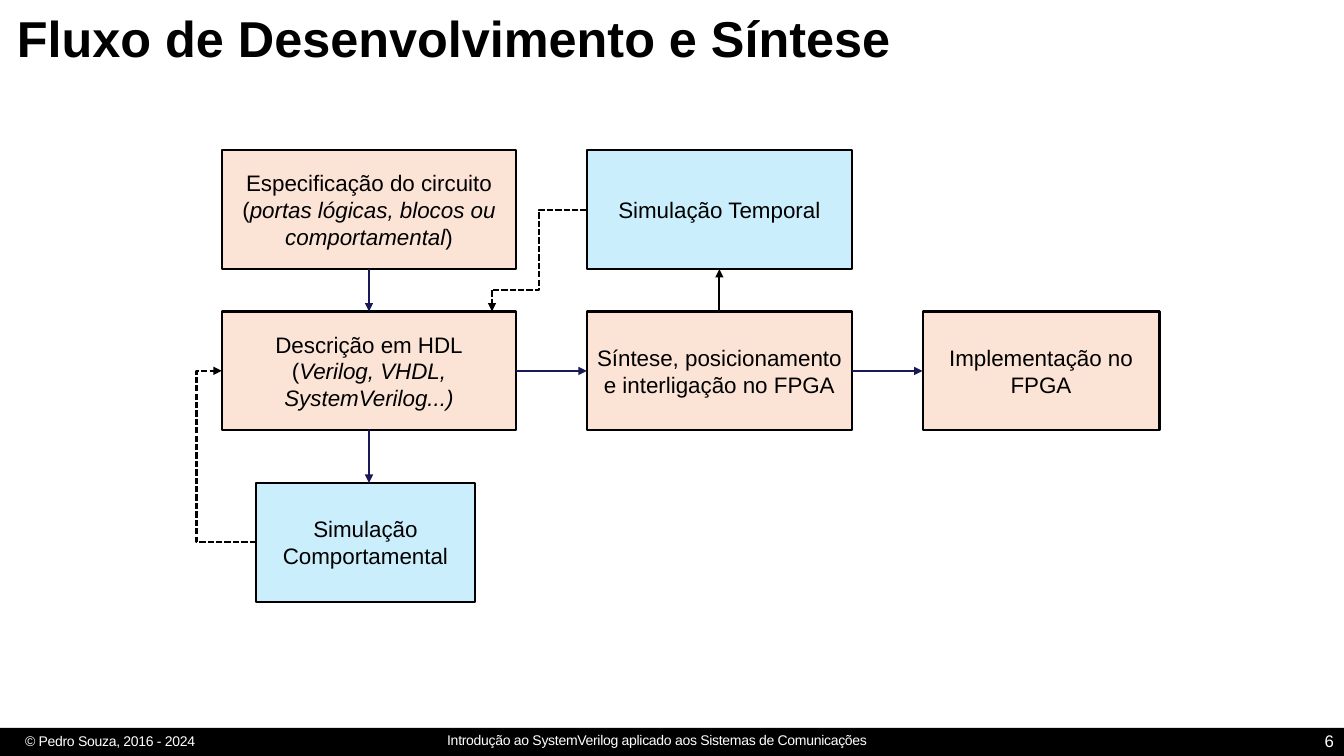
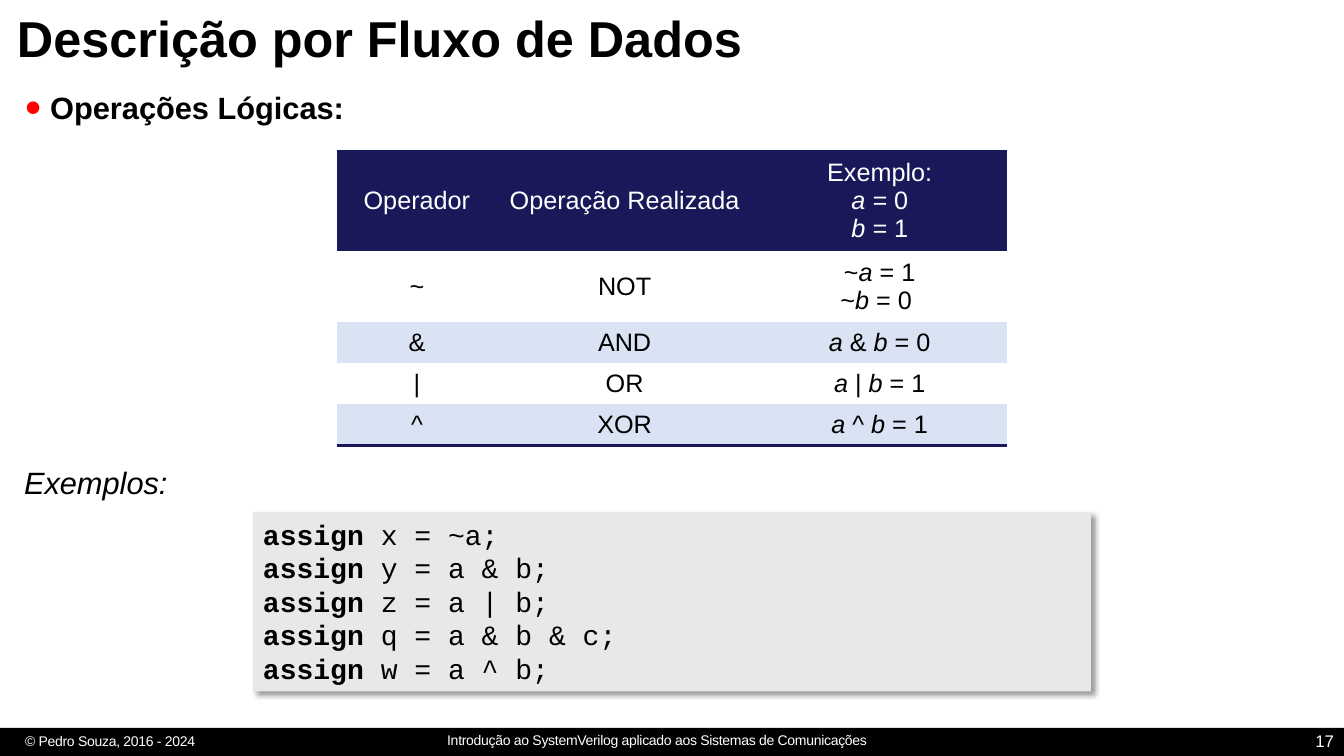
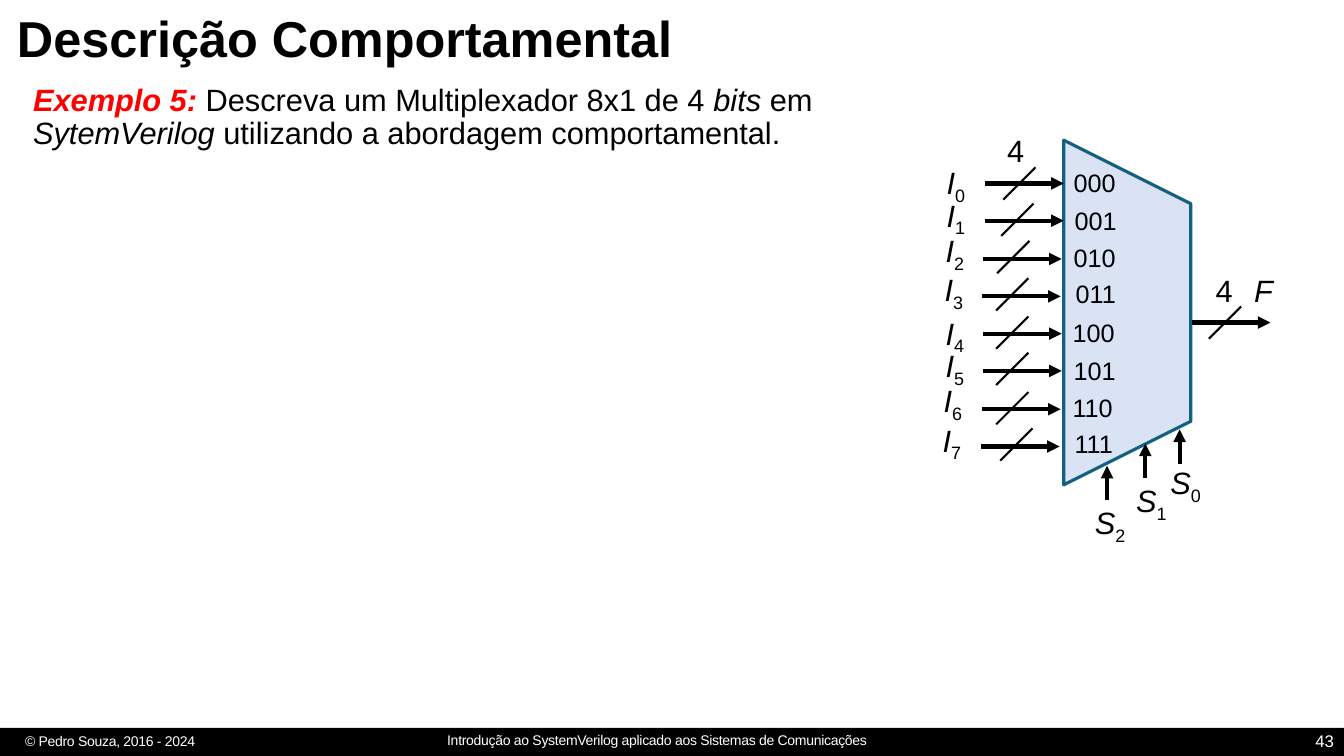
from dataclasses import dataclass

from lxml.etree import SubElement
from pptx import Presentation
from pptx.dml.color import RGBColor
from pptx.enum.dml import MSO_LINE
from pptx.enum.shapes import MSO_CONNECTOR as Link, MSO_SHAPE as Shape
from pptx.enum.text import MSO_ANCHOR as Anchor, PP_ALIGN as Align
from pptx.oxml.ns import qn
from pptx.util import Pt

PX = 9144  # EMU per px, 100 px to the inch
WIDTH, HEIGHT = 1333, 750


@dataclass(frozen=True)
class Theme:
    black: str = "000000"
    white: str = "FFFFFF"
    red: str = "FF0000"
    navy: str = "191959"
    peach: str = "FBE3D6"
    sky: str = "CAEEFB"
    pale: str = "DAE3F3"
    teal: str = "156082"
    grey: str = "E8E8E8"
    sans: str = "Arial"
    mono: str = "Courier New"
    title: int = 36
    body: int = 22
    code: int = 20
    table: int = 18
    box: int = 16
    page: int = 12
    footer: int = 10


T = Theme()

# Content. A run is a string or (string, flags): b bold, i italic, r red, _ subscript
FOOTERS = [
    ((15, 722, 328, 27), "© Pedro Souza, 2016 - 2024", Align.LEFT),
    ((424, 721, 455, 27),
     "Introdução ao SystemVerilog aplicado aos Sistemas de Comunicações", Align.CENTER),
]

FLOW_BOXES = {
    "spec": ((220, 149, 292, 118), T.peach, [
        ["Especificação do circuito"],
        ["(", ("portas lógicas, blocos ou comportamental", "i"), ")"]]),
    "hdl": ((220, 309, 292, 118), T.peach, [
        ["Descrição em HDL"], ["(", ("Verilog, VHDL, SystemVerilog...)", "i")]]),
    "behaviour": ((254, 479, 217, 118), T.sky, [["Simulação Comportamental"]]),
    "synthesis": ((582, 309, 263, 118), T.peach,
                  [["Síntese, posicionamento e interligação no FPGA"]]),
    "timing": ((582, 149, 263, 118), T.sky, [["Simulação Temporal"]]),
    "fpga": ((915, 309, 235, 118), T.peach, [["Implementação no FPGA"]]),
}
TOP, LEFT, BOTTOM, RIGHT = range(4)
FLOW_ARROWS = [  # start, end, colour, joined start, joined end
    ((366, 267), (366, 309), T.navy, ("spec", BOTTOM), ("hdl", TOP)),
    ((366, 427), (366, 479), T.navy, ("hdl", BOTTOM), None),
    ((512, 368), (582, 368), T.navy, ("hdl", RIGHT), ("synthesis", LEFT)),
    ((845, 368), (915, 368), T.navy, ("synthesis", RIGHT), ("fpga", LEFT)),
    ((714, 309), (714, 267), T.black, ("synthesis", TOP), ("timing", BOTTOM)),
]
FEEDBACK = [  # start, end, kind, arrowhead, bend in thousandths of the width
    ((254, 538), (220, 368), Link.ELBOW, True, 1737),
    ((582, 208), (487, 288), Link.ELBOW, False, 500),
    ((488, 288), (488, 309), Link.STRAIGHT, True, None),
]

COLUMNS = [159, 253, 253]
ROWS = [94, 66, 41, 41, 41]
A, B = ("a", "i"), ("b", "i")
OPERATORS = [
    [[["Operador"]], [["Operação Realizada"]],
     [["Exemplo:"], [("a = ", "i"), "0"], [("b = ", "i"), "1"]]],
    [[["~"]], [["NOT"]], [["~", A, " = 1"], ["~", B, " = 0 "]]],
    [[["&"]], [["AND"]], [[A, " & ", B, " = 0"]]],
    [[["|"]], [["OR"]], [[A, " | ", B, " = 1"]]],
    [[["^"]], [["XOR"]], [[A, " ^ ", B, " = 1"]]],
]
ASSIGNMENTS = ["x = ~a", "y = a & b", "z = a | b", "q = a & b & c", "w = a ^ b"]

EXERCISE = [("Exemplo 5: ", "bir"), "Descreva um Multiplexador 8x1 de 4 ", ("bits", "i"),
            " em ", ("SytemVerilog", "i"), " utilizando a abordagem comportamental."]
FIRST_INPUT, INPUT_STEP, ARROW, SLASH = 182, 37.3, 78, 32
MUX_INPUTS = [  # label, code, arrow left, slash foot
    ((929, 158), (1055, 161), 977, (995, 198)),
    ((929, 190), (1056, 199), 977, (993, 234)),
    ((928, 225), (1055, 235), 975, (989, 271)),
    ((927, 264), (1057, 271), 974, (988, 308)),
    ((928, 307), (1054, 310), 975, (988, 346)),
    ((928, 339), (1055, 348), 975, (988, 382)),
    ((926, 374), (1054, 384), 974, (988, 421)),
    ((925, 413), (1056, 420), 973, (992, 457)),
]
MUX_SELECTS = [  # label, arrow foot
    ((1151, 455), (1170, 460)),
    ((1117, 473), (1136, 474)),
    ((1076, 495), (1098, 496)),
]
MUX_OUTPUT, OUTPUT_SLASH = (1182, 320), (1199, 336)
MUX_MARKS = [((989, 126), "4"), ((1196, 265), "4"), ((1234, 265), ("F", "i"))]


# Drawing helpers
def emu(values):
    return [v * PX for v in values]


def rgb(value):
    return RGBColor.from_string(value)


def write(tf, paragraphs, size, color=T.black, font=T.sans, align=Align.LEFT,
          anchor=Anchor.TOP, spacing=None, before=None, tracking=None):
    tf.word_wrap = True
    tf.vertical_anchor = anchor
    for n, runs in enumerate(paragraphs):
        p = tf.paragraphs[0] if n == 0 else tf.add_paragraph()
        p.alignment = align
        if spacing:
            p.line_spacing = spacing
        if before:
            p.space_before = Pt(before)
        for run in runs:
            text, flags = (run, "") if isinstance(run, str) else run
            r = p.add_run()
            r.text = text
            r.font.name, r.font.size = font, Pt(size)
            r.font.bold, r.font.italic = "b" in flags, "i" in flags
            r.font.color.rgb = rgb(T.red if "r" in flags else color)
            if "_" in flags:
                r._r.get_or_add_rPr().set("baseline", "-25000")
            if tracking:
                r._r.get_or_add_rPr().set("spc", str(tracking))


def text_box(s, at, paragraphs, size, **style):
    tf = s.shapes.add_textbox(*emu(at)).text_frame
    write(tf, paragraphs, size, **style)
    return tf


def label(s, at, runs, size=T.body):
    tf = text_box(s, (*at, 66, 47), [runs], size)
    tf.margin_right = 0


def shape(s, kind, at, fill, line=None, weight=1.5):
    sp = s.shapes.add_shape(kind, *emu(at))
    sp.shadow.inherit = False
    sp.fill.solid()
    sp.fill.fore_color.rgb = rgb(fill)
    if line:
        sp.line.color.rgb = rgb(line)
        sp.line.width = Pt(weight)
    else:
        sp.line.fill.background()
    return sp


def connect(s, start, end, color=T.black, weight=1.5, head=True, dashed=False,
            kind=Link.STRAIGHT):
    c = s.shapes.add_connector(kind, *emu(start + end))
    c.line.color.rgb = rgb(color)
    c.line.width = Pt(weight)
    if dashed:
        c.line.dash_style = MSO_LINE.SQUARE_DOT
    if head:
        SubElement(c.line._get_or_add_ln(), qn("a:tailEnd"), type="triangle")
    SubElement(c._element.spPr, qn("a:effectLst"))
    return c


def bend(c, thousandths):
    geom = c._element.spPr.find(qn("a:prstGeom"))
    av = geom.find(qn("a:avLst"))
    if av is None:
        av = SubElement(geom, qn("a:avLst"))
    SubElement(av, qn("a:gd"), name="adj1", fmla=f"val {thousandths * 100}")


def add_bullet(p):
    pPr = p._p.get_or_add_pPr()
    pPr.set("marL", str(25 * PX))
    pPr.set("indent", str(-25 * PX))
    SubElement(SubElement(pPr, qn("a:buClr")), qn("a:srgbClr"), val=T.red)
    SubElement(pPr, qn("a:buSzPct"), val="150000")
    SubElement(pPr, qn("a:buFont"), typeface=T.sans)
    SubElement(pPr, qn("a:buChar"), char="•")


def drop_shadow(sp):
    effects = sp._element.spPr.find(qn("a:effectLst"))
    shadow = SubElement(effects, qn("a:outerShdw"), blurRad=str(Pt(4)), dist=str(Pt(3)),
                        dir="2700000", algn="tl", rotWithShape="0")
    color = SubElement(shadow, qn("a:srgbClr"), val=T.black)
    SubElement(color, qn("a:alpha"), val="40000")


def bottom_border(cell):
    ln = SubElement(cell._tc.get_or_add_tcPr(), qn("a:lnB"), w=str(Pt(2.25)))
    SubElement(SubElement(ln, qn("a:solidFill")), qn("a:srgbClr"), val=T.navy)


def new_slide(prs, title, number):
    s = prs.slides.add_slide(prs.slide_layouts[6])
    shape(s, Shape.RECTANGLE, (0, 722, WIDTH, HEIGHT - 722), T.black)
    for at, text, align in FOOTERS:
        text_box(s, at, [[text]], T.footer, color=T.white, align=align, tracking=-20)
    text_box(s, (7, 7, 1317, 68), [[(title, "b")]], T.title, anchor=Anchor.MIDDLE,
             spacing=0.9)
    text_box(s, (1033, 715, 300, 40), [[str(number)]], T.page, color=T.white,
             align=Align.RIGHT, anchor=Anchor.MIDDLE)
    return s


# Slides
def flow_slide(prs):
    s = new_slide(prs, "Fluxo de Desenvolvimento e Síntese", 6)
    boxes = {}
    for name, (at, fill, paragraphs) in FLOW_BOXES.items():
        boxes[name] = sp = shape(s, Shape.RECTANGLE, at, fill, T.black)
        write(sp.text_frame, paragraphs, T.box, align=Align.CENTER, anchor=Anchor.MIDDLE)
    for start, end, color, source, target in FLOW_ARROWS:
        c = connect(s, start, end, color)
        if source:
            c.begin_connect(boxes[source[0]], source[1])
        if target:
            c.end_connect(boxes[target[0]], target[1])
    for start, end, kind, head, turn in FEEDBACK:
        c = connect(s, start, end, head=head, dashed=True, kind=kind)
        if turn:
            bend(c, turn)


def operators_slide(prs):
    s = new_slide(prs, "Descrição por Fluxo de Dados", 17)
    tf = text_box(s, (15, 87, 1304, 60), [[("Operações Lógicas:", "b")]], T.body,
                  spacing=0.9, before=10)
    add_bullet(tf.paragraphs[0])

    # Operator table
    frame = s.shapes.add_table(len(ROWS), len(COLUMNS),
                               *emu((334, 149, sum(COLUMNS), sum(ROWS))))
    table = frame.table
    table.first_row = table.horz_banding = False
    style = table._tbl.tblPr.find(qn("a:tableStyleId"))
    style.text = "{2D5ABB26-0587-4C30-8999-92F81FD0307C}"  # no style, no grid
    for column, width in zip(table.columns, COLUMNS):
        column.width = width * PX
    for i, (row, height) in enumerate(zip(OPERATORS, ROWS)):
        table.rows[i].height = height * PX
        for j, paragraphs in enumerate(row):
            cell = table.cell(i, j)
            cell.vertical_anchor = Anchor.MIDDLE
            write(cell.text_frame, paragraphs, T.table, align=Align.CENTER,
                  color=T.black if i else T.white)
            if i == len(ROWS) - 1:
                bottom_border(cell)
            if i % 2 and i:
                cell.fill.background()
            else:
                cell.fill.solid()
                cell.fill.fore_color.rgb = rgb(T.pale if i else T.navy)

    # Code examples
    text_box(s, (14, 448, 1304, 60), [[("Exemplos:", "i")]], T.body, spacing=1.2, before=10)
    sp = shape(s, Shape.RECTANGLE, (251, 508, 831, 178), T.grey)
    drop_shadow(sp)
    write(sp.text_frame, [[("assign", "b"), f" {a};"] for a in ASSIGNMENTS], T.code,
          font=T.mono)


def mux_slide(prs):
    s = new_slide(prs, "Descrição Comportamental", 43)
    text_box(s, (23, 79, 901, 607), [EXERCISE], T.body, spacing=0.9, before=10)
    body = shape(s, Shape.TRAPEZOID, (947, 247, 342, 126), T.pale, T.teal, 2.25)
    body.rotation = 90
    body.adjustments[0] = 0.5

    def bus(x, y, slash):
        connect(s, (x, y), (x + ARROW, y), weight=3)
        connect(s, slash, (slash[0] + SLASH, slash[1] - SLASH), head=False)

    for i, (name_at, code_at, x, slash) in enumerate(MUX_INPUTS):
        bus(x, round(FIRST_INPUT + i * INPUT_STEP), slash)
        label(s, name_at, [("I", "i"), (str(i), "_")])
        label(s, code_at, [f"{i:03b}"], T.table)
    for i, (name_at, (x, y)) in enumerate(MUX_SELECTS):
        connect(s, (x, y), (x, y - 34), weight=3)
        label(s, name_at, [("S", "i"), (str(i), "_")])
    bus(*MUX_OUTPUT, OUTPUT_SLASH)
    for at, run in MUX_MARKS:
        label(s, at, [run])


def main():
    prs = Presentation()
    prs.slide_width, prs.slide_height = emu((WIDTH, HEIGHT))
    flow_slide(prs)
    operators_slide(prs)
    mux_slide(prs)
    prs.save("out.pptx")


if __name__ == "__main__":
    main()
